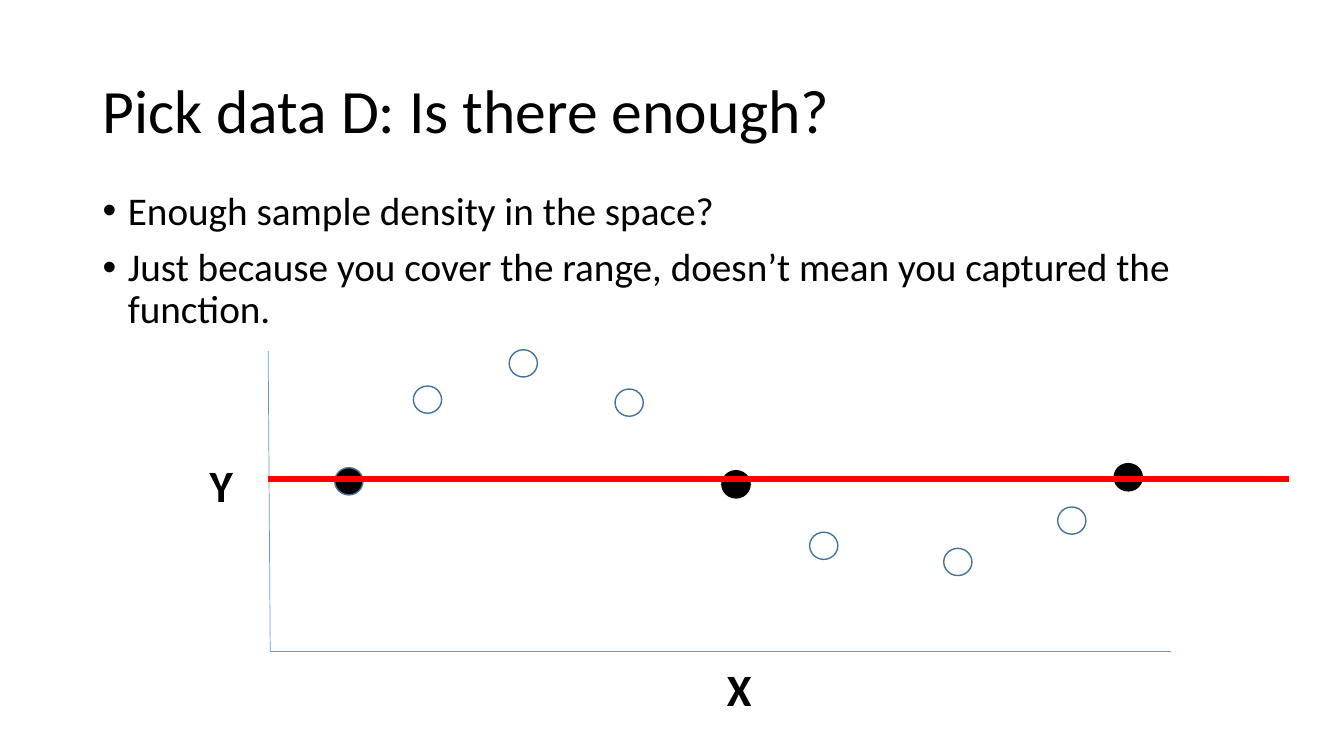
from dataclasses import dataclass

from lxml.etree import SubElement
from pptx import Presentation
from pptx.dml.color import RGBColor as RGB
from pptx.enum.shapes import MSO_CONNECTOR as LINE, MSO_SHAPE as SHAPE
from pptx.enum.text import MSO_ANCHOR as ANCHOR
from pptx.oxml.ns import qn
from pptx.util import Inches, Pt


@dataclass(frozen=True)
class Theme:
    font: str = "Calibri"
    ink: RGB = RGB(0, 0, 0)
    axis: RGB = RGB(0x5B, 0x9B, 0xD5)
    ring: RGB = RGB(0x43, 0x73, 0x9E)
    fit: RGB = RGB(0xFF, 0, 0)
    title: int = 44
    body: int = 28
    label: int = 32


@dataclass(frozen=True)
class Box:
    left: float
    top: float
    width: float
    height: float

    def place(self):
        return [Inches(v) for v in (self.left, self.top, self.width, self.height)]


THEME = Theme()
TITLE = "Pick data D: Is there enough?"
POINTS = [
    "Enough sample density in the space?",
    "Just because you cover the range, doesn’t mean you captured the function.",
]
# Marker corners, measured from the plot's top left
UNSEEN = [(1.44, 0.35), (2.39, -0.01), (3.44, 0.38),
          (5.37, 1.8), (6.7, 1.96), (7.83, 1.55)]
SAMPLES = [(0.66, 1.16, THEME.ring), (4.5, 1.19, THEME.ink), (8.39, 1.12, THEME.ink)]
DOT = (0.28, 0.27)


def add_text(slide, box, wrap=True):
    frame = slide.shapes.add_textbox(*box.place()).text_frame
    frame.word_wrap = wrap
    return frame


def add_run(para, text, size, bold=False):
    run = para.add_run()
    run.text = text
    font = run.font
    font.name, font.size, font.bold = THEME.font, Pt(size), bold
    font.color.rgb = THEME.ink


def add_title(slide, box):
    frame = add_text(slide, box)
    frame.vertical_anchor = ANCHOR.MIDDLE
    para = frame.paragraphs[0]
    para.line_spacing = 0.9
    add_run(para, TITLE, THEME.title)


def add_bullets(slide, box):
    frame = add_text(slide, box)
    for i, text in enumerate(POINTS):
        para = frame.add_paragraph() if i else frame.paragraphs[0]
        para.line_spacing = 0.9
        para.space_before = Pt(10)
        props = para._p.get_or_add_pPr()
        props.set("marL", str(Inches(0.25)))
        props.set("indent", str(-Inches(0.25)))
        SubElement(props, qn("a:buFont"), typeface="Arial")
        SubElement(props, qn("a:buChar"), char="•")
        add_run(para, text, THEME.body)


def add_line(slide, start, end, color, width):
    ends = [Inches(v) for v in (*start, *end)]
    line = slide.shapes.add_connector(LINE.STRAIGHT, *ends)
    line.line.color.rgb = color
    line.line.width = Pt(width)
    SubElement(line._element.spPr, qn("a:effectLst"))


def add_dot(slide, left, top, edge, fill=None):
    dot = slide.shapes.add_shape(SHAPE.OVAL, *Box(left, top, *DOT).place())
    dot.shadow.inherit = False
    dot.line.color.rgb = edge
    dot.line.width = Pt(1)
    if fill is None:
        dot.fill.background()
    else:
        dot.fill.solid()
        dot.fill.fore_color.rgb = fill


def add_label(slide, text, left, top):
    frame = add_text(slide, Box(left, top, 0.45, 0.64), wrap=False)
    add_run(frame.paragraphs[0], text, THEME.label, bold=True)


def add_plot(slide, box):
    """Draw axes, sampled and unseen points, and the misleading flat fit."""
    left, top = box.left, box.top
    right, base = left + box.width, top + box.height
    corner = (left + 0.02, base)
    add_line(slide, (left, top), corner, THEME.axis, 0.5)
    add_line(slide, (right, base), corner, THEME.axis, 0.5)
    for x, y in UNSEEN:
        add_dot(slide, left + x, top + y, THEME.ring)
    for x, y, edge in SAMPLES:
        add_dot(slide, left + x, top + y, edge, THEME.ink)
    add_label(slide, "Y", left - 0.68, top + 1.01)
    add_label(slide, "X", left + 4.45, base + 0.06)
    level = top + 1.27
    add_line(slide, (right + 1.17, level), (left, level), THEME.fit, 4)


def main():
    deck = Presentation()
    deck.slide_width, deck.slide_height = Inches(13.33), Inches(7.5)
    slide = deck.slides.add_slide(deck.slide_layouts[6])
    add_title(slide, Box(0.92, 0.4, 11.5, 1.45))
    add_bullets(slide, Box(0.92, 1.85, 11.5, 4.76))
    add_plot(slide, Box(2.66, 3.48, 8.95, 2.98))
    deck.save("out.pptx")


if __name__ == "__main__":
    main()
